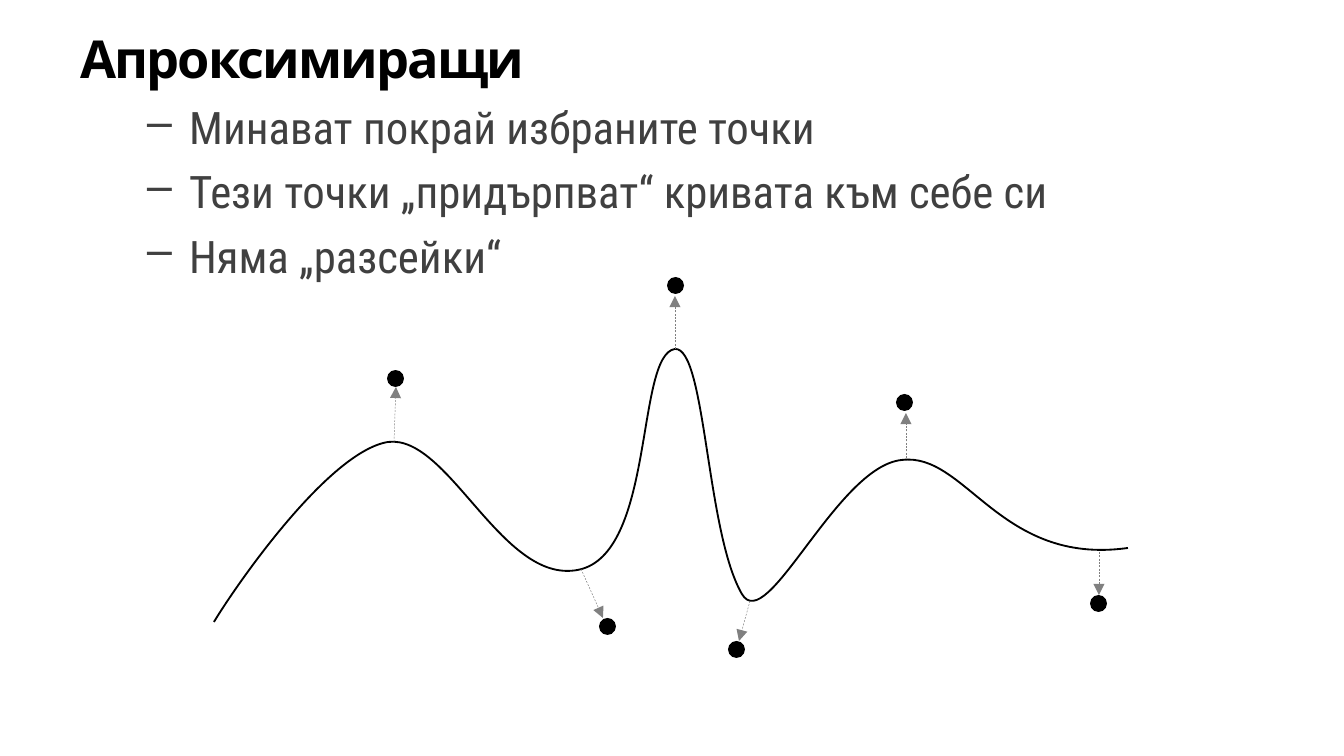
"""Build a slide on approximating curves with control points pulling the curve."""
import pptx
import pptx.dml.color
import pptx.enum.dml
import pptx.enum.shapes
import pptx.oxml
import pptx.oxml.ns
import pptx.util

PX = 914400 / 134.4
BLACK = pptx.dml.color.RGBColor(0x00, 0x00, 0x00)
DARK_GRAY = pptx.dml.color.RGBColor(0x40, 0x40, 0x40)
GRAY = pptx.dml.color.RGBColor(0x80, 0x80, 0x80)
DOT_SIZE = 17


def px(*lengths):
    return [pptx.util.Emu(round(length * PX)) for length in lengths]


def write(para, text, *, font, size, color, margin, indent,
          bold=False, bullet=None, spacing=0, before=0):
    properties = para._p.get_or_add_pPr()
    left, hanging = px(margin, indent)
    properties.set("marL", str(left))
    properties.set("indent", str(hanging))
    if bullet:
        mark = pptx.oxml.parse_xml(f'<a:buChar {pptx.oxml.ns.nsdecls("a")} char="{bullet}"/>')
    else:
        mark = pptx.oxml.parse_xml(f'<a:buNone {pptx.oxml.ns.nsdecls("a")}/>')
    properties.append(mark)
    para.space_before = pptx.util.Pt(before)
    span = para.add_run()
    span.text = text
    span.font.name = font
    span.font.size = pptx.util.Pt(size)
    span.font.bold = bold
    span.font.color.rgb = color
    span._r.get_or_add_rPr().set("spc", str(spacing * 100))


deck = pptx.Presentation()
deck.slide_width, deck.slide_height = px(1344, 756)
page = deck.slides.add_slide(deck.slide_layouts[6])

box = page.shapes.add_textbox(*px(67, 20, 1277, 736))
frame = box.text_frame
frame.word_wrap = True
write(frame.paragraphs[0], "Апроксимиращи", font="Cabin", size=28, color=BLACK,
      margin=51, indent=-51, bold=True, spacing=-1)
for text in ("Минават покрай избраните точки",
             "Тези точки „придърпват“ кривата към себе си",
             "Няма „разсейки“"):
    para = frame.add_paragraph()
    para.level = 1
    write(para, text, font="Roboto Condensed", size=24, color=DARK_GRAY,
          margin=109, indent=-42, bullet="–", before=5.6)

start = (214, 622)
controls = [
    (235, 587), (328, 452), (388, 442),
    (450, 434), (504, 590), (582, 569),
    (655, 548), (636, 355), (675, 349),
    (706, 347), (706, 532), (742, 594),
    (767, 637), (837, 466), (902, 460),
    (966, 452), (1000, 566), (1128, 548),
]
builder = page.shapes.build_freeform(*start, scale=PX)
builder.add_line_segments(controls, close=False)
curve = builder.convert_to_shape()
curve.shadow.inherit = False
curve.fill.background()
curve.line.color.rgb = BLACK
curve.line.width = pptx.util.Pt(1)
outline = curve._element.find(".//" + pptx.oxml.ns.qn("a:path"))
segments = outline.findall(pptx.oxml.ns.qn("a:lnTo"))
for first in range(0, len(segments), 3):
    bezier = pptx.oxml.parse_xml(f'<a:cubicBezTo {pptx.oxml.ns.nsdecls("a")}/>')
    outline.append(bezier)
    for segment in segments[first:first + 3]:
        bezier.append(segment[0])
        outline.remove(segment)

for left, top in ((387, 370), (667, 277), (728, 641), (599, 618), (896, 394), (1090, 595)):
    dot = page.shapes.add_shape(pptx.enum.shapes.MSO_SHAPE.OVAL,
                                *px(left, top, DOT_SIZE, DOT_SIZE))
    dot.shadow.inherit = False
    dot.fill.solid()
    dot.fill.fore_color.rgb = BLACK
    dot.line.fill.background()

for ends in ((394, 442, 396, 387), (581, 569, 603, 618), (675, 349, 675, 296),
             (750, 601, 739, 641), (906, 458, 906, 413), (1099, 552, 1099, 595)):
    arrow = page.shapes.add_connector(pptx.enum.shapes.MSO_CONNECTOR.STRAIGHT, *px(*ends))
    arrow.line.color.rgb = GRAY
    arrow.line.width = pptx.util.Pt(0.25)
    arrow.line.dash_style = pptx.enum.dml.MSO_LINE.DASH
    arrow.line._get_or_add_ln().append(
        pptx.oxml.parse_xml(f'<a:tailEnd {pptx.oxml.ns.nsdecls("a")} type="triangle"/>'))
    arrow._element.spPr.append(
        pptx.oxml.parse_xml(f'<a:effectLst {pptx.oxml.ns.nsdecls("a")}/>'))

deck.save("out.pptx")
